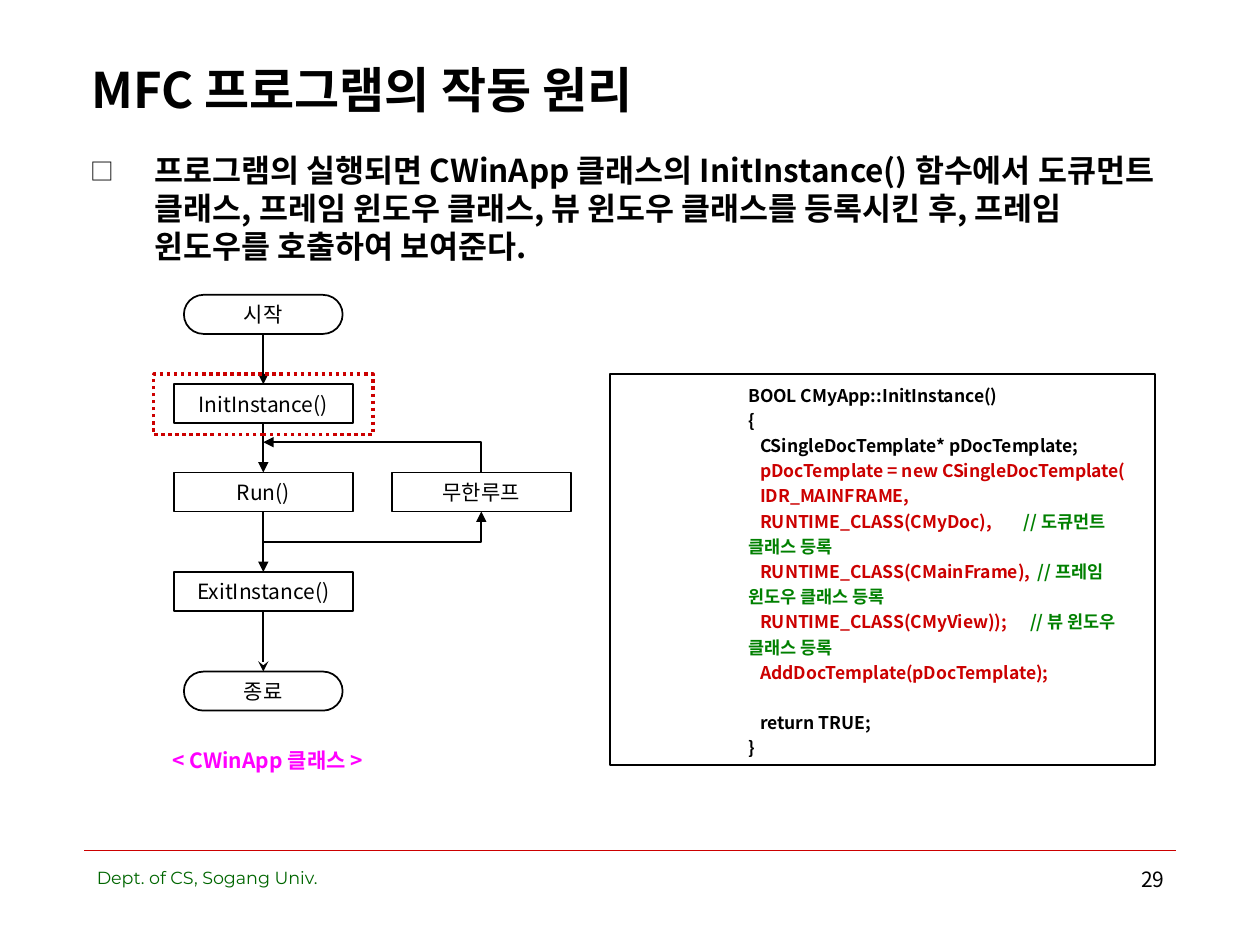
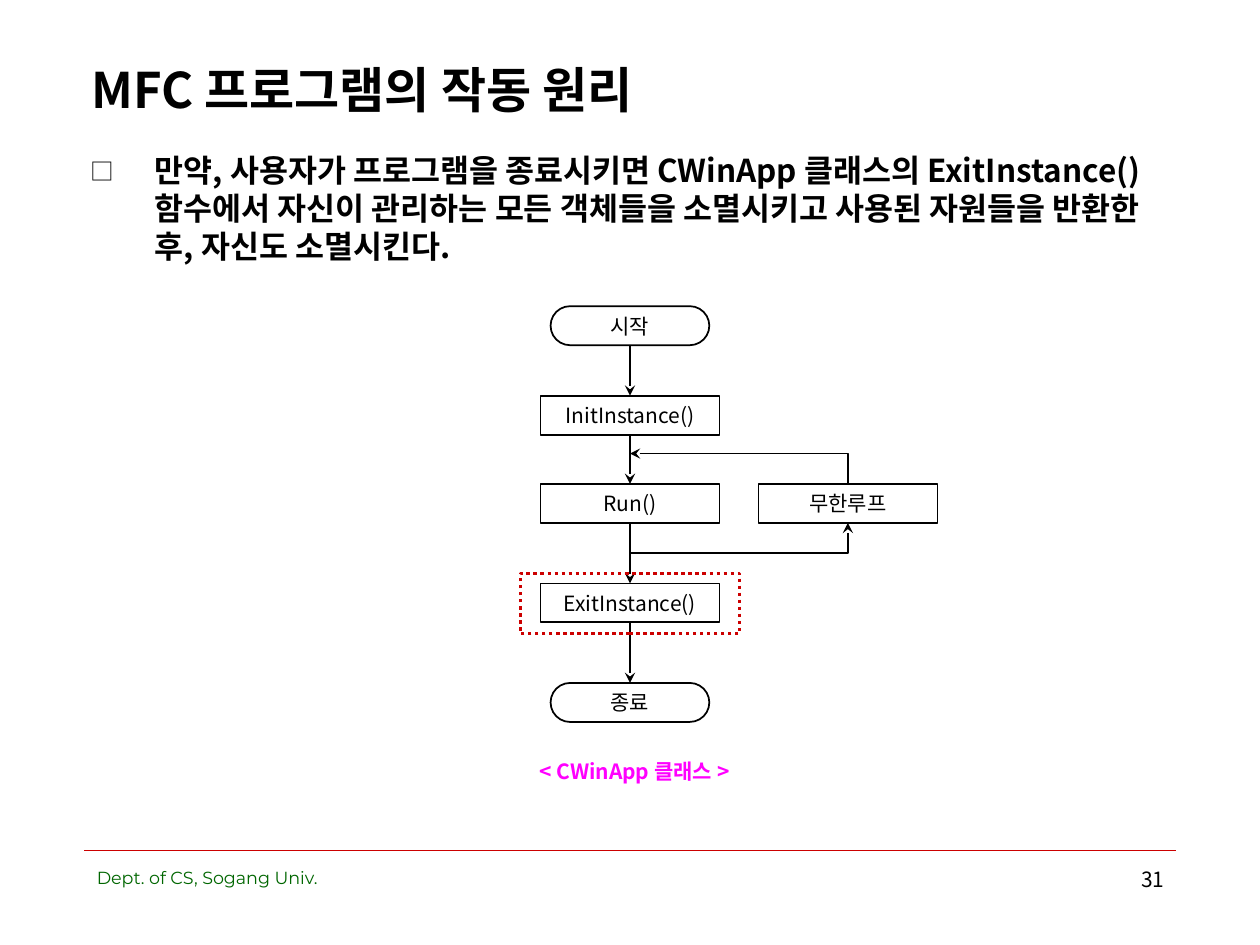
from lxml import etree
from pptx import Presentation
from pptx.dml.color import RGBColor
from pptx.enum.dml import MSO_LINE_DASH_STYLE as Dash
from pptx.enum.shapes import MSO_CONNECTOR as Connector, MSO_SHAPE as Shape
from pptx.enum.text import MSO_ANCHOR as Anchor, MSO_AUTO_SIZE as AutoSize, PP_ALIGN as Align
from pptx.oxml.ns import qn
from pptx.util import Inches, Pt

BLACK = RGBColor(0x00, 0x00, 0x00)
RED = RGBColor(0xCC, 0x00, 0x00)
MAGENTA = RGBColor(0xFF, 0x00, 0xFF)
FOOTER_GREEN = RGBColor(0x00, 0x66, 0x00)
COMMENT_GREEN = RGBColor(0x00, 0x80, 0x00)

KOREAN_FONT = "Noto Sans CJK KR"
FOOTER_FONT = "Montserrat"

TITLE = "MFC 프로그램의 작동 원리"
STEPS = ["시작", "InitInstance()", "Run()", "ExitInstance()", "종료"]
STEP_OFFSETS = [0, 0.71, 1.41, 2.2, 2.99]
STEP_HEIGHT = 0.31
STEP_WIDTH = 1.42
TERMINAL_WIDTH = 1.26
LOOP_DISTANCE = 1.73
ELBOW_DROP = 0.24

STARTUP_TEXT = (
    "프로그램의 실행되면 CWinApp 클래스의 InitInstance() 함수에서 "
    "도큐먼트 클래스, 프레임 윈도우 클래스, 뷰 윈도우 클래스를 등록시킨 후, "
    "프레임 윈도우를 호출하여 보여준다."
)
SHUTDOWN_TEXT = (
    "만약, 사용자가 프로그램을 종료시키면 CWinApp 클래스의 "
    "ExitInstance() 함수에서 자신이 관리하는 모든 객체들을 소멸시키고 사용된 "
    "자원들을 반환한 후, 자신도 소멸시킨다."
)
CODE_LINES = [
    ("BOOL CMyApp::InitInstance()", BLACK),
    ("{", BLACK),
    ("   CSingleDocTemplate* pDocTemplate;", BLACK),
    ("   pDocTemplate = new CSingleDocTemplate(", RED),
    ("   IDR_MAINFRAME,", RED),
    ("   RUNTIME_CLASS(CMyDoc),", RED),
    ("   RUNTIME_CLASS(CMainFrame),", RED),
    ("   RUNTIME_CLASS(CMyView));", RED),
    ("   AddDocTemplate(pDocTemplate);", RED),
    ("   return TRUE;", BLACK),
    ("}", BLACK),
]
COMMENTS = {
    5: ("// 도큐먼트 클래스 등록", 16),
    6: ("// 프레임 윈도우 클래스 등록", 2),
    7: ("// 뷰 윈도우 클래스 등록", 11),
}
RETURN_LINE = 9


def add_run(paragraph, text, size, color=BLACK, bold=False, font_name=KOREAN_FONT):
    """Append one formatted run to a paragraph and return it."""
    run = paragraph.add_run()
    run.text = text
    run.font.size = Pt(size)
    run.font.bold = bold
    run.font.color.rgb = color
    run.font.name = font_name
    etree.SubElement(run.font._element, qn("a:ea"), typeface=font_name)
    return run


def add_label(slide, left, top, width, height, align=Align.LEFT):
    """Add an empty wrapping text box and return its first paragraph."""
    frame = slide.shapes.add_textbox(
        Inches(left), Inches(top), Inches(width), Inches(height)).text_frame
    frame.word_wrap = True
    paragraph = frame.paragraphs[0]
    paragraph.alignment = align
    return paragraph


def indent_paragraph(paragraph, margin, first_line=0.0):
    """Set the left margin and first-line indent of a paragraph."""
    properties = paragraph._p.get_or_add_pPr()
    properties.set("marL", str(Inches(margin)))
    properties.set("indent", str(Inches(first_line)))
    return properties


def add_outline(slide, kind, left, top, width, height, color=BLACK, weight=1):
    """Add an unfilled preset shape with a plain outline."""
    outline = slide.shapes.add_shape(
        kind, Inches(left), Inches(top), Inches(width), Inches(height))
    outline.shadow.inherit = False
    outline.fill.background()
    outline.line.color.rgb = color
    outline.line.width = Pt(weight)
    return outline


def style_arrow(arrow, head, end="tailEnd"):
    """Draw a thin black line with an arrowhead and no shadow."""
    arrow.line.color.rgb = BLACK
    arrow.line.width = Pt(1)
    etree.SubElement(arrow.line._get_or_add_ln(), qn(f"a:{end}"), type=head)
    etree.SubElement(arrow._element.spPr, qn("a:effectLst"))


def add_step(slide, text, center, top, terminal=False):
    """Add a flowchart step centred on a column."""
    width = TERMINAL_WIDTH if terminal else STEP_WIDTH
    kind = Shape.ROUNDED_RECTANGLE if terminal else Shape.RECTANGLE
    step = add_outline(slide, kind, center - width / 2, top, width, STEP_HEIGHT)
    if terminal:
        step.adjustments[0] = 0.5
    frame = step.text_frame
    frame.word_wrap = False
    frame.vertical_anchor = Anchor.MIDDLE
    frame.paragraphs[0].alignment = Align.CENTER
    add_run(frame.paragraphs[0], text, 12)
    return step


def join_steps(slide, upper, lower, head):
    """Connect the bottom of one step to the top of the next."""
    arrow = slide.shapes.add_connector(Connector.STRAIGHT, 0, 0, 0, 0)
    arrow.begin_connect(upper, 2)
    arrow.end_connect(lower, 0)
    style_arrow(arrow, head)


def add_elbow(slide, center, level, loop_edge, head, end):
    """Draw a bent arrow between the main flow and the loop step."""
    loop_x = center + LOOP_DISTANCE
    builder = slide.shapes.build_freeform(Inches(center), Inches(level))
    corners = [(loop_x, level), (loop_x, loop_edge)]
    builder.add_line_segments([(Inches(x), Inches(y)) for x, y in corners], close=False)
    elbow = builder.convert_to_shape()
    elbow.fill.background()
    style_arrow(elbow, head, end)


def add_flowchart(slide, center, top, highlighted, head, last_head):
    """Draw the application life cycle and frame one of its steps."""
    tops = [top + offset for offset in STEP_OFFSETS]
    steps = [add_step(slide, text, center, step_top, text in (STEPS[0], STEPS[-1]))
             for text, step_top in zip(STEPS, tops)]
    heads = [head] * (len(steps) - 2) + [last_head]
    for upper, lower, arrowhead in zip(steps, steps[1:], heads):
        join_steps(slide, upper, lower, arrowhead)

    loop_top = tops[STEPS.index("Run()")]
    loop_bottom = loop_top + STEP_HEIGHT
    add_step(slide, "무한루프", center + LOOP_DISTANCE, loop_top)
    add_elbow(slide, center, loop_bottom + ELBOW_DROP, loop_bottom, head, "tailEnd")
    add_elbow(slide, center, loop_top - ELBOW_DROP, loop_top, head, "headEnd")

    caption = add_label(slide, center - 0.95, top + 3.54, 1.97, 0.3, Align.CENTER)
    add_run(caption, "< CWinApp 클래스 >", 12, MAGENTA, bold=True)

    frame_top = tops[STEPS.index(highlighted)] - 0.08
    frame = add_outline(slide, Shape.RECTANGLE, center - 0.87, frame_top, 1.74, 0.48, RED, 2)
    frame.line.dash_style = Dash.ROUND_DOT


def add_code_panel(slide):
    """Add the framed listing of InitInstance()."""
    panel = add_outline(slide, Shape.RECTANGLE, 4.84, 2.97, 4.33, 3.1)
    frame = panel.text_frame
    frame.word_wrap = True
    frame.vertical_anchor = Anchor.TOP
    for number, (code, color) in enumerate(CODE_LINES):
        paragraph = frame.add_paragraph() if number else frame.paragraphs[0]
        paragraph.alignment = Align.LEFT
        paragraph.line_spacing = 1.2
        if number == RETURN_LINE:
            paragraph.space_before = Pt(14.4)
        indent_paragraph(paragraph, 1)
        add_run(paragraph, code, 10, color, bold=True)
        if number in COMMENTS:
            comment, gap = COMMENTS[number]
            separator = add_run(paragraph, " ", 10, color, bold=True)
            separator.font._element.set("spc", str(gap * 100))
            add_run(paragraph, comment, 10, COMMENT_GREEN, bold=True)


def add_bullet(slide, text):
    """Add the square-bulleted explanation under the title."""
    paragraph = add_label(slide, 0.62, 1.15, 8.75, 1.1)
    properties = indent_paragraph(paragraph, 0.51, -0.51)
    bullet_color = etree.SubElement(properties, qn("a:buClr"))
    etree.SubElement(bullet_color, qn("a:srgbClr"), val=str(BLACK))
    etree.SubElement(properties, qn("a:buSzPct"), val="75000")
    etree.SubElement(properties, qn("a:buFont"), typeface=KOREAN_FONT)
    etree.SubElement(properties, qn("a:buChar"), char="□")
    add_run(paragraph, text, 18, bold=True)


def add_footer(slide, page):
    """Add the rule, department name and page number."""
    rule = slide.shapes.add_connector(
        Connector.STRAIGHT, Inches(0.67), Inches(6.75), Inches(9.33), Inches(6.75))
    rule.line.color.rgb = RED
    rule.line.width = Pt(1)
    etree.SubElement(rule._element.spPr, qn("a:effectLst"))
    department = add_label(slide, 0.67, 6.83, 3.55, 0.52)
    add_run(department, "Dept. of CS, Sogang Univ.", 10, FOOTER_GREEN, font_name=FOOTER_FONT)
    add_run(add_label(slide, 7.17, 6.83, 2.17, 0.52, Align.RIGHT), str(page), 12)


def add_topic_slide(deck, page, explanation):
    """Start a slide with its title, footer and explanation."""
    slide = deck.slides.add_slide(deck.slide_layouts[5])
    add_footer(slide, page)
    title = slide.shapes.title
    title.left, title.top = Inches(0.63), Inches(0.33)
    title.width, title.height = Inches(8.75), Inches(0.66)
    title.text_frame.auto_size = AutoSize.NONE
    title.text_frame.vertical_anchor = Anchor.BOTTOM
    heading = title.text_frame.paragraphs[0]
    heading.alignment = Align.LEFT
    add_run(heading, TITLE, 28, bold=True)
    add_bullet(slide, explanation)
    return slide


def main():
    """Build the two slides and save the deck."""
    deck = Presentation()
    deck.slide_width, deck.slide_height = Inches(10), Inches(7.5)

    startup = add_topic_slide(deck, 29, STARTUP_TEXT)
    add_flowchart(startup, 2.09, 2.34, "InitInstance()", "triangle", "stealth")
    add_code_panel(startup)

    shutdown = add_topic_slide(deck, 31, SHUTDOWN_TEXT)
    add_flowchart(shutdown, 5, 2.43, "ExitInstance()", "stealth", "stealth")

    deck.save("out.pptx")


if __name__ == "__main__":
    main()
